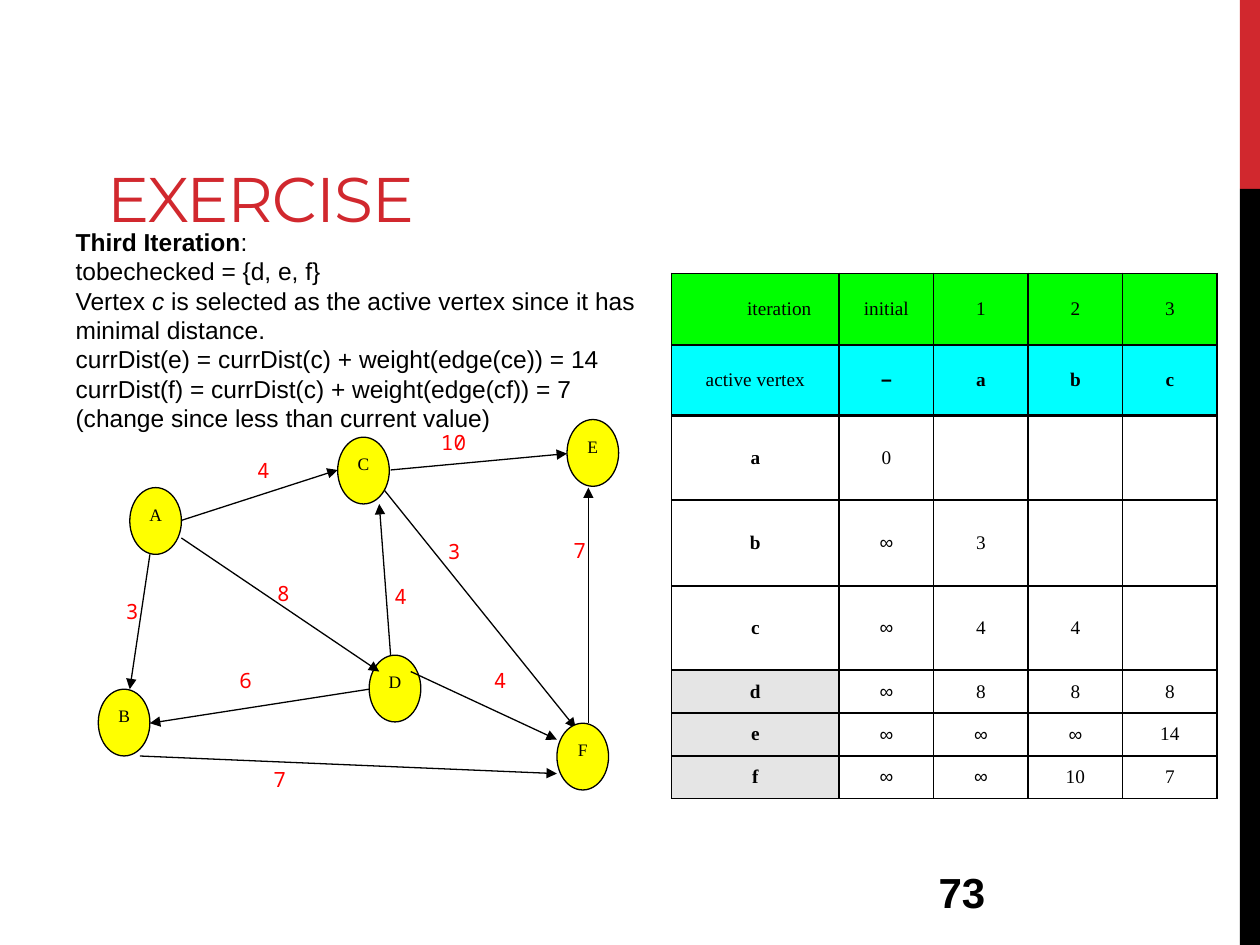
from typing import NamedTuple

from lxml.etree import SubElement
from pptx import Presentation
from pptx.dml.color import RGBColor
from pptx.enum.shapes import MSO_CONNECTOR as Line, MSO_SHAPE as Shape
from pptx.enum.text import MSO_ANCHOR as Anchor, MSO_AUTO_SIZE as AutoSize, PP_ALIGN as Align
from pptx.oxml import parse_xml
from pptx.oxml.ns import nsdecls, qn
from pptx.util import Emu, Inches, Pt

RED = RGBColor(0xD1, 0x28, 0x2E)
LABEL_RED = RGBColor(0xFF, 0x00, 0x00)
BLACK = RGBColor(0x00, 0x00, 0x00)
WHITE = RGBColor(0xFF, 0xFF, 0xFF)
YELLOW = RGBColor(0xFF, 0xFF, 0x00)
GREEN = RGBColor(0x00, 0xFF, 0x00)
CYAN = RGBColor(0x00, 0xFF, 0xFF)
GREY = RGBColor(0xE5, 0xE5, 0xE5)

SERIF, SANS, MONO = "Times New Roman", "Arial", "Noto Sans Mono"
SLIDE_WIDTH, SLIDE_HEIGHT = Inches(10), Inches(7.5)
# The page is a grid of 100 columns by 75 rows
GRID_COLUMNS, GRID_ROWS = 100, 75
NODE_WIDTH, NODE_HEIGHT = 4.1, 5.3
LABEL_WIDTH, LABEL_HEIGHT = 4, 3


class Node(NamedTuple):
    name: str
    column: float
    row: float


class Edge(NamedTuple):
    start: tuple[float, float]
    end: tuple[float, float]
    weight: str
    label: tuple[float, float]  # centre of the weight


NODES = [Node("A", 10.3, 38.7), Node("C", 26.8, 34.7), Node("B", 7.8, 54.7),
         Node("D", 29.3, 52), Node("E", 45, 33.3), Node("F", 44.2, 57.4)]
EDGE_BEHIND = Edge((30.5, 38.9), (45.7, 57.8), "3", (36.05, 43.75))
EDGES = [
    Edge((14.4, 41.3), (26.8, 37.3), "4", (20.9, 37.3)),
    Edge((11.9, 44), (10.3, 54.7), "3", (10.5, 48.5)),
    Edge((32.6, 53.3), (44.2, 58.7), "4", (39.7, 54)),
    Edge((46.7, 57.4), (46.7, 38.7), "7", (46, 43.7)),
    Edge((29.3, 54.7), (11.9, 57.4), "6", (19.5, 54)),
    Edge((14.4, 42.7), (30.1, 53.3), "8", (22.5, 47.1)),
    Edge((31, 52), (30.1, 40), "4", (31.8, 47.3)),
    Edge((31, 37.3), (45, 36), "10", (36, 35.1)),
    Edge((11.1, 60), (44.2, 61.4), "7", (22.2, 61.8)),
]

TABLE = [
    ["iteration", "initial", "1", "2", "3"],
    ["active vertex", "−", "a", "b", "c"],
    ["a", "0", "", "", ""],
    ["b", "∞", "3", "", ""],
    ["c", "∞", "4", "4", ""],
    ["d", "∞", "8", "8", "8"],
    ["e", "∞", "∞", "∞", "14"],
    ["f", "∞", "∞", "10", "7"],
]
TABLE_COLUMNS = [13.3] + [7.5] * 4
TABLE_ROWS = [5.7, 5.6, 6.7, 6.8, 6.7] + [3.4] * 3

BODY = [
    [("Third Iteration", {"bold": True}), (":", {})],
    [("tobechecked = {d, e, f}", {})],
    [("Vertex ", {}), ("c", {"italic": True}),
     (" is selected as the active vertex since it has minimal distance.", {})],
    [("currDist(e) = currDist(c) + weight(edge(ce)) = 14", {})],
    [("currDist(f) = currDist(c) + weight(edge(cf)) = 7 "
      "(change since less than current value)", {})],
]


def across(columns: float) -> Emu:
    return Emu(round(SLIDE_WIDTH * columns / GRID_COLUMNS))


def down(rows: float) -> Emu:
    return Emu(round(SLIDE_HEIGHT * rows / GRID_ROWS))


def area(left: float, top: float, width: float, height: float) -> tuple:
    return across(left), down(top), across(width), down(height)


def place(box, *cells: float) -> None:
    box.left, box.top, box.width, box.height = area(*cells)


def write(para, text: str, *, font: str, size: float, color: RGBColor = BLACK,
          bold: bool = False, italic: bool = False, align: Align = Align.LEFT):
    para.alignment = align
    span = para.add_run()
    span.text = text
    span.font.name, span.font.size = font, Pt(size)
    span.font.bold, span.font.italic = bold, italic
    span.font.color.rgb = color
    return span


def draw_shape(shapes, kind: Shape, cells: tuple, fill: RGBColor, outline: bool = False):
    shape = shapes.add_shape(kind, *area(*cells))
    shape.shadow.inherit = False
    shape.fill.solid()
    shape.fill.fore_color.rgb = fill
    if outline:
        shape.line.color.rgb, shape.line.width = BLACK, Pt(0.75)
    else:
        shape.line.fill.background()
    return shape


def draw_node(shapes, node: Node) -> None:
    cells = (node.column, node.row, NODE_WIDTH, NODE_HEIGHT)
    frame = draw_shape(shapes, Shape.OVAL, cells, YELLOW, outline=True).text_frame
    frame.margin_left = frame.margin_right = 0
    frame.vertical_anchor = Anchor.TOP
    write(frame.paragraphs[0], node.name, font=SERIF, size=10, align=Align.CENTER)


def draw_edge(shapes, edge: Edge) -> None:
    (x1, y1), (x2, y2) = edge.start, edge.end
    arrow = shapes.add_connector(Line.STRAIGHT, across(x1), down(y1), across(x2), down(y2))
    arrow.line.color.rgb, arrow.line.width = BLACK, Pt(0.75)
    SubElement(arrow.line._get_or_add_ln(), qn("a:tailEnd"), type="triangle")
    SubElement(arrow._element.spPr, qn("a:effectLst"))


def draw_weight(shapes, edge: Edge) -> None:
    x, y = edge.label
    frame = shapes.add_textbox(*area(x - LABEL_WIDTH / 2, y - LABEL_HEIGHT / 2,
                                     LABEL_WIDTH, LABEL_HEIGHT)).text_frame
    frame.margin_left = frame.margin_right = 0
    frame.word_wrap = False
    frame.vertical_anchor = Anchor.MIDDLE
    write(frame.paragraphs[0], edge.weight, font=MONO, size=12, color=LABEL_RED,
          align=Align.CENTER)


def border_cell(cell, **widths: float) -> None:
    for index, (side, width) in enumerate(widths.items()):
        cell._tc.get_or_add_tcPr().insert(index, parse_xml(
            f'<a:{side} {nsdecls("a")} w="{Pt(width)}"><a:solidFill>'
            f'<a:srgbClr val="{BLACK}"/></a:solidFill></a:{side}>'))


def cell_fill(row: int, column: int) -> RGBColor:
    if row < 2:
        return (GREEN, CYAN)[row]
    return GREY if row >= 5 and column == 0 else WHITE


def draw_table(page) -> None:
    cells = (53.3, 21.7, sum(TABLE_COLUMNS), sum(TABLE_ROWS))
    table = page.shapes.add_table(len(TABLE), len(TABLE[0]), *area(*cells)).table
    table.first_row = table.horz_banding = False
    for column, width in zip(table.columns, TABLE_COLUMNS):
        column.width = across(width)
    for r, (texts, height) in enumerate(zip(TABLE, TABLE_ROWS)):
        table.rows[r].height = down(height)
        for c, text in enumerate(texts):
            cell = table.cell(r, c)
            cell.vertical_anchor = Anchor.MIDDLE
            cell.fill.solid()
            cell.fill.fore_color.rgb = cell_fill(r, c)
            border_cell(cell, lnL=1, lnR=1, lnT=2 if r == 2 else 1, lnB=2 if r == 1 else 1)
            if text:
                write(cell.text_frame.paragraphs[0], text, size=11, align=Align.CENTER,
                      font=SANS if text in "−∞" else SERIF,
                      bold=(r == 1 and c > 0) or (r > 1 and c == 0))
    # The corner heading is pushed to the right by an indent
    corner = table.cell(0, 0).text_frame.paragraphs[0]
    corner._p.get_or_add_pPr().set("marL", str(across(3.8)))


def fill_placeholders(page) -> None:
    title, body = page.shapes.title, page.placeholders[1]
    place(title, 7.5, 1.7, 75.1, 17.5)
    title.text_frame.vertical_anchor = Anchor.BOTTOM
    span = write(title.text_frame.paragraphs[0], "EXERCISE", font="Montserrat", size=36, color=RED)
    span.font._element.set("spc", "-60")

    place(body, 5, 17.5, 47.5, 17.5)
    frame = body.text_frame
    frame.auto_size = AutoSize.SHAPE_TO_FIT_TEXT
    for index, spans in enumerate(BODY):
        para = frame.add_paragraph() if index else frame.paragraphs[0]
        para.space_before = Pt(0)
        for text, style in spans:
            write(para, text, font=SANS, size=14, **style)
        props = para._p.get_or_add_pPr()
        props.set("marL", "0")
        props.set("indent", "0")
        SubElement(props, qn("a:buNone"))


def main() -> None:
    deck = Presentation()
    deck.slide_width, deck.slide_height = SLIDE_WIDTH, SLIDE_HEIGHT
    page = deck.slides.add_slide(deck.slide_layouts[1])

    # Side band, title and explanation
    draw_shape(page.shapes, Shape.RECTANGLE, (98.4, 0, 1.6, 15), RED)
    draw_shape(page.shapes, Shape.RECTANGLE, (98.4, 15, 1.6, 60), BLACK)
    fill_placeholders(page)
    draw_table(page)

    # Page number
    frame = page.shapes.add_textbox(*area(73.5, 68.3, 20.8, 5)).text_frame
    frame.word_wrap = True
    frame.vertical_anchor = Anchor.MIDDLE
    write(frame.paragraphs[0], "73", font=SANS, size=24, bold=True)

    # Weighted graph
    graph = page.shapes.add_group_shape().shapes
    draw_edge(graph, EDGE_BEHIND)
    for node in NODES:
        draw_node(graph, node)
    for edge in EDGES:
        draw_edge(graph, edge)
    for edge in [EDGE_BEHIND, *EDGES]:
        draw_weight(graph, edge)

    deck.save("out.pptx")


if __name__ == "__main__":
    main()
